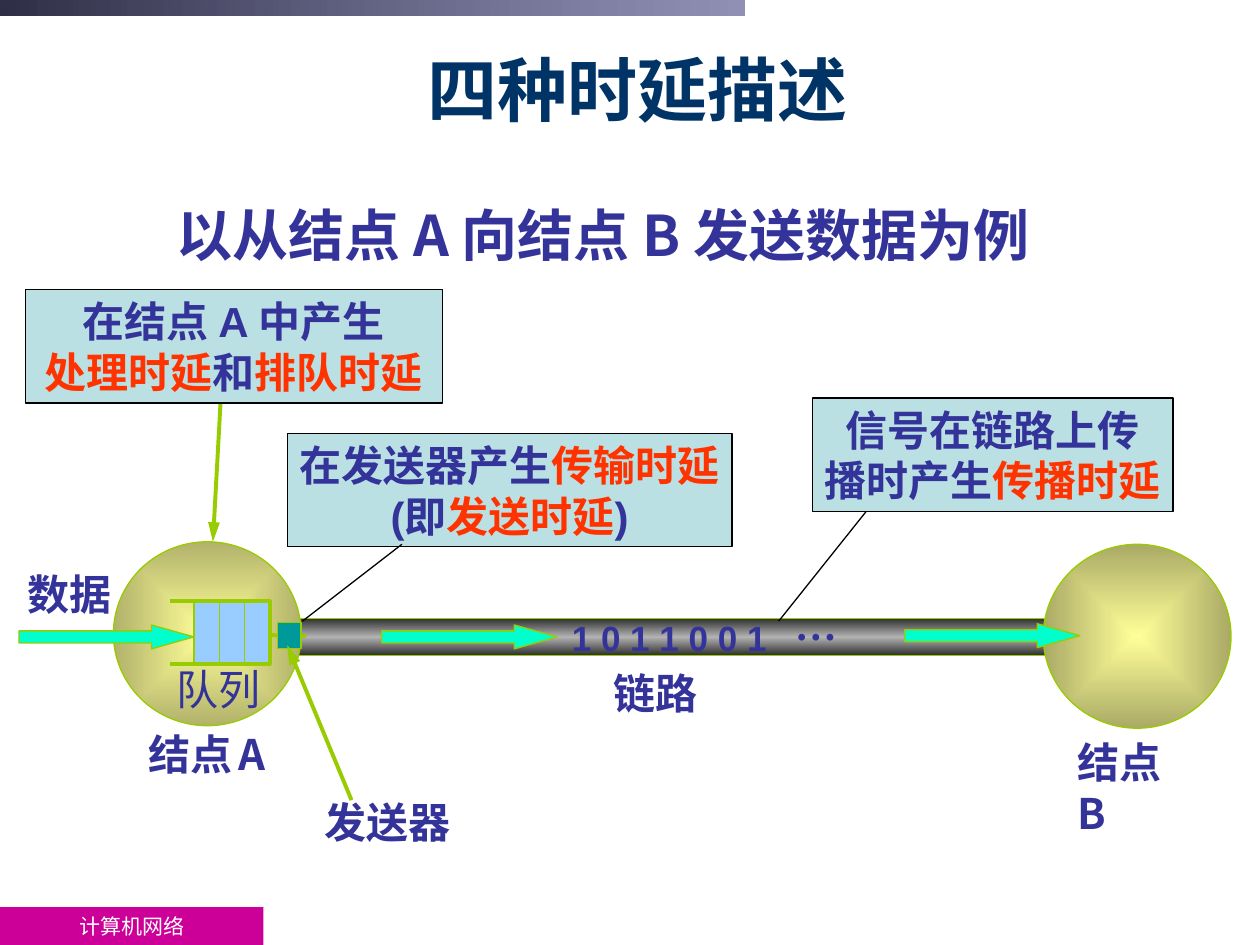
import pptx
import pptx.dml.color
import pptx.enum.shapes
import pptx.enum.text
import pptx.oxml
import pptx.oxml.ns
import pptx.util
from pptx.util import Inches

COLORS = {
    "text": "333399", "highlight": "FF3300", "title": "003366",
    "footer": "CC0099", "white": "FFFFFF", "black": "000000",
    "outline": "99CC00", "callout": "BBE0E3", "queue": "99CCFF",
    "sender": "009999", "arrow": "00FFCC",
    "band_dark": "2F2F47", "band_light": "666699",
    "link_dark": "313131", "link_light": "B2B2B2",
    "node_light": "FFFF99", "node_a": "B2B26B", "node_b": "AAAA66",
}
CJK = "Noto Sans CJK SC"
SHAPES = pptx.enum.shapes.MSO_SHAPE
ALIGN = pptx.enum.text.PP_ALIGN
ANCHOR = pptx.enum.text.MSO_ANCHOR
NAMESPACE = pptx.oxml.ns.nsdecls("a")


def rgb(name):
    return pptx.dml.color.RGBColor.from_string(COLORS[name])


def style_line(line, color, width=0.75):
    line.color.rgb = rgb(color)
    line.width = pptx.util.Pt(width)


def add_shape(page, kind, place, fill=None, outline="outline"):
    shape = page.shapes.add_shape(kind, *map(Inches, place))
    shape.shadow.inherit = False
    if fill:
        shape.fill.solid()
        shape.fill.fore_color.rgb = rgb(fill)
    if outline:
        style_line(shape.line, outline)
    else:
        shape.line.fill.background()
    return shape


def add_gradient(shape, stops, direction):
    stop_xml = "".join(
        f'<a:gs pos="{position * 1000}"><a:srgbClr val="{COLORS[color]}">'
        f'<a:alpha val="{alpha * 1000}"/></a:srgbClr></a:gs>'
        for position, color, alpha in stops)
    gradient = pptx.oxml.parse_xml(
        f'<a:gradFill {NAMESPACE} rotWithShape="1"><a:gsLst>{stop_xml}</a:gsLst>'
        f'{direction}</a:gradFill>')
    shape.fill.background()
    properties = shape.element.spPr
    properties.replace(properties.find(pptx.oxml.ns.qn("a:noFill")), gradient)


def add_node(page, place, edge):
    node = add_shape(page, SHAPES.OVAL, place)
    add_gradient(node, [(0, "node_light", 100), (100, edge, 100)],
                 '<a:path path="rect"><a:fillToRect l="50000" t="50000" '
                 'r="50000" b="50000"/></a:path>')


def add_line(page, start, end, color="outline", width=0.75, arrow=False):
    line = page.shapes.add_connector(
        pptx.enum.shapes.MSO_CONNECTOR.STRAIGHT, *map(Inches, start + end))
    style_line(line.line, color, width)
    properties = line.element.spPr
    if arrow:
        properties.find(pptx.oxml.ns.qn("a:ln")).append(pptx.oxml.parse_xml(
            f'<a:tailEnd {NAMESPACE} type="triangle" w="med" len="lg"/>'))
    properties.append(pptx.oxml.parse_xml(f"<a:effectLst {NAMESPACE}/>"))


def write_text(box, lines, size=24, font="Arial", color="text", bold=True,
               align=ALIGN.LEFT, anchor=ANCHOR.TOP, wrap=False):
    frame = box.text_frame
    frame.word_wrap = wrap
    frame.vertical_anchor = anchor
    for index, spans in enumerate(lines):
        para = frame.paragraphs[0] if index == 0 else frame.add_paragraph()
        para.alignment = align
        para.font.size = pptx.util.Pt(size)
        para.font.name = font
        para.font.bold = bold
        para.font.color.rgb = rgb(color)
        for text, changes in spans:
            span = para.add_run()
            span.text = text
            if "color" in changes:
                span.font.color.rgb = rgb(changes["color"])
            if "size" in changes:
                span.font.size = pptx.util.Pt(changes["size"])


def plain(text):
    return (text, {})


def marked(text):
    return (text, {"color": "highlight"})


def add_label(page, place, spans, **style):
    box = page.shapes.add_textbox(*map(Inches, place))
    write_text(box, [spans], **style)


def add_callout(page, place, lines):
    box = add_shape(page, SHAPES.RECTANGLE, place, "callout", "black")
    write_text(box, lines, align=ALIGN.CENTER)


def add_data_arrow(page, left, top):
    arrow = add_shape(page, SHAPES.RIGHT_ARROW, (left, top, 1.39, 0.19), "arrow")
    arrow.adjustments[1] = 1.78


def add_queue(page):
    top, bottom = 4.77, 5.27
    add_shape(page, SHAPES.RECTANGLE, (1.54, top, 0.59, bottom - top), "queue")
    builder = page.shapes.build_freeform(Inches(1.35), Inches(top))
    corners = [(2.14, top), (2.14, bottom), (1.35, bottom)]
    builder.add_line_segments(
        [(Inches(x), Inches(y)) for x, y in corners], close=False)
    frame = builder.convert_to_shape()
    frame.shadow.inherit = False
    frame.fill.background()
    style_line(frame.line, "outline", 2.25)
    for slot in range(3):
        x = 1.54 + 0.2 * slot
        add_line(page, (x, top), (x, bottom))


def add_frame(page):
    footer = add_shape(page, SHAPES.RECTANGLE, (0, 7.2, 2.09, 0.3), "footer", None)
    write_text(footer, [[plain("计算机网络")]], 12, "Times New Roman", "white",
               bold=False, align=ALIGN.CENTER, anchor=ANCHOR.MIDDLE, wrap=True)
    band = add_shape(page, SHAPES.RECTANGLE, (0, 0, 5.91, 0.12), outline=None)
    add_gradient(band, [(0, "band_dark", 100), (100, "band_light", 72)],
                 '<a:lin ang="0" scaled="1"/>')
    add_label(page, (1.14, 0.28, 7.84, 0.84), [plain("四种时延描述")], size=40,
              color="title", align=ALIGN.CENTER, anchor=ANCHOR.MIDDLE, wrap=True)


def add_network(page):
    link = add_shape(page, SHAPES.RECTANGLE, (2.34, 4.91, 6.04, 0.29))
    add_gradient(link, [(0, "link_dark", 100), (50, "link_light", 100),
                        (100, "link_dark", 100)],
                 '<a:lin ang="5400000" scaled="1"/>')
    add_node(page, (0.9, 4.3, 1.49, 1.46), "node_a")
    add_node(page, (8.28, 4.32, 1.49, 1.46), "node_b")
    add_queue(page)
    add_line(page, (2.13, 5.04), (2.43, 5.05), width=2.25)
    add_shape(page, SHAPES.RECTANGLE, (2.2, 4.94, 0.19, 0.21), "sender")
    for left, top in [(3.03, 4.96), (0.15, 4.96), (7.18, 4.95)]:
        add_data_arrow(page, left, top)


def add_labels(page):
    add_label(page, (4.44, 4.84, 1.75, 0.44), [plain("1 0 1 1 0 0 1")], size=20)
    add_label(page, (6.21, 4.7, 0.53, 0.5), [plain("…")], font="Times New Roman")
    add_label(page, (1.3, 5.22, 0.9, 0.5), [plain("队列")],
              font="Times New Roman", bold=False)
    for text, place in [("发送器", (2.48, 6.27, 1.24, 0.5)),
                        ("数据", (0.12, 4.46, 0.9, 0.5)),
                        ("链路", (4.77, 5.25, 0.9, 0.5))]:
        add_label(page, place, [plain(text)], font=CJK)
    for letter, place, wrap in [("B", (8.45, 5.8, 1.1, 0.5), True),
                                ("A", (1.08, 5.73, 1.24, 0.5), False)]:
        spans = [plain("结点"), (" ", {"size": 16}), plain(letter)]
        add_label(page, place, spans, font=CJK, wrap=wrap)
    add_label(page, (1.3, 1.54, 7.64, 0.64),
              [plain("以从结点 A 向结点 B 发送数据为例")],
              size=32, font=CJK, wrap=True)


def add_callouts(page):
    add_line(page, (6.89, 4.04), (6.18, 4.93), "black")
    add_callout(page, (6.45, 3.16, 2.86, 0.9), [
        [plain("信号在链路上传")],
        [plain("播时产生"), marked("传播时延")]])
    add_callout(page, (2.28, 3.44, 3.53, 0.9), [
        [plain("在发送器产生"), marked("传输时延")],
        [plain("(即"), marked("发送时延"), plain(")")]])
    add_line(page, (3.19, 4.32), (2.4, 4.93), "black")
    add_line(page, (2.79, 6.35), (2.28, 5.12), width=2.25, arrow=True)
    add_line(page, (1.75, 3.2), (1.69, 4.3), width=2.25, arrow=True)
    add_callout(page, (0.2, 2.3, 3.31, 0.9), [
        [plain("在结点 A 中产生")],
        [marked("处理时延"), plain("和"), marked("排队时延")]])


def main():
    deck = pptx.Presentation()
    deck.slide_width, deck.slide_height = Inches(10), Inches(7.5)
    page = deck.slides.add_slide(deck.slide_layouts[6])
    add_frame(page)
    add_network(page)
    add_labels(page)
    add_callouts(page)
    deck.save("out.pptx")


if __name__ == "__main__":
    main()
